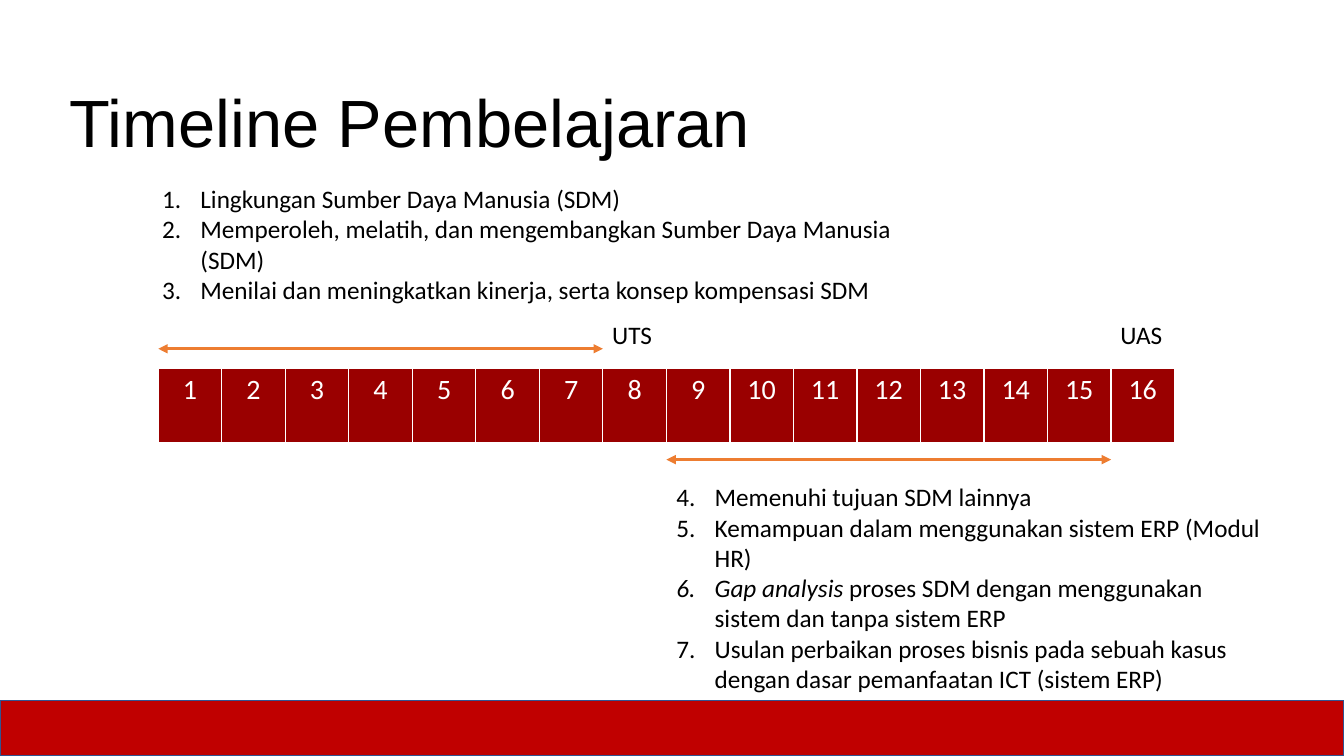
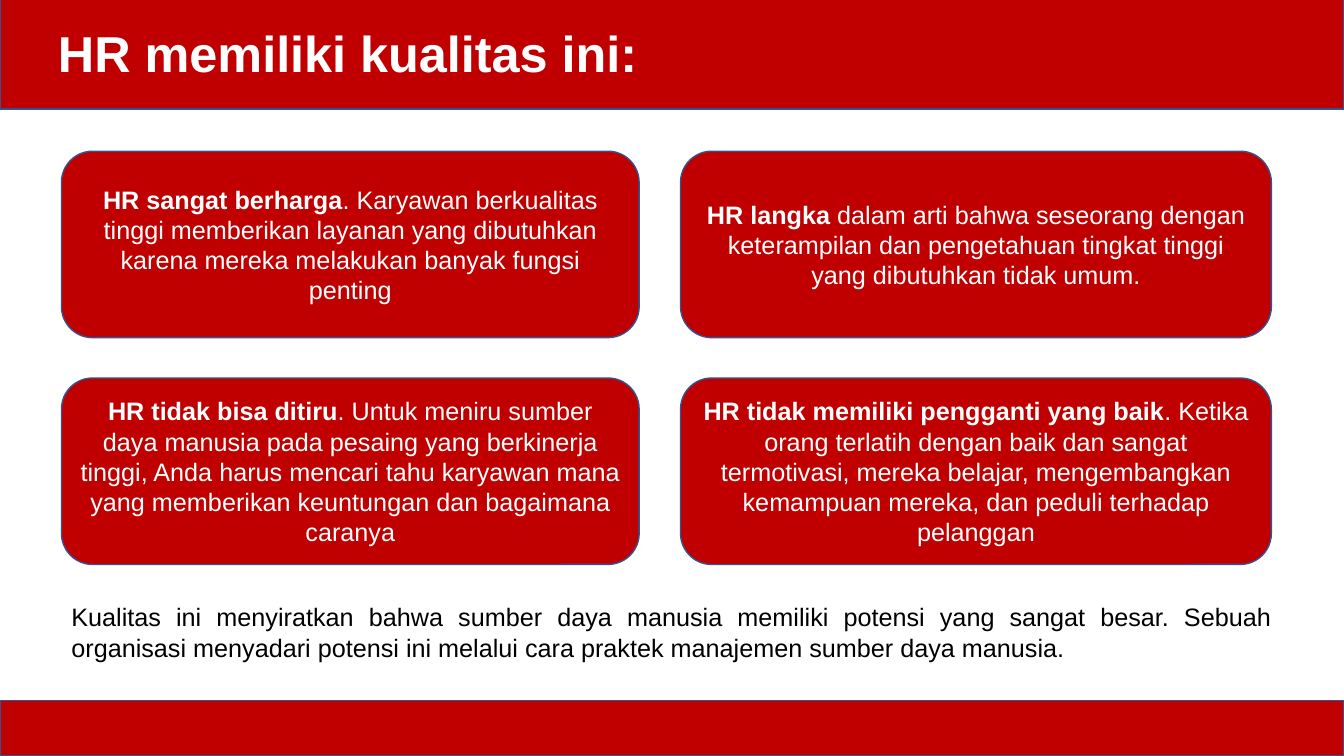
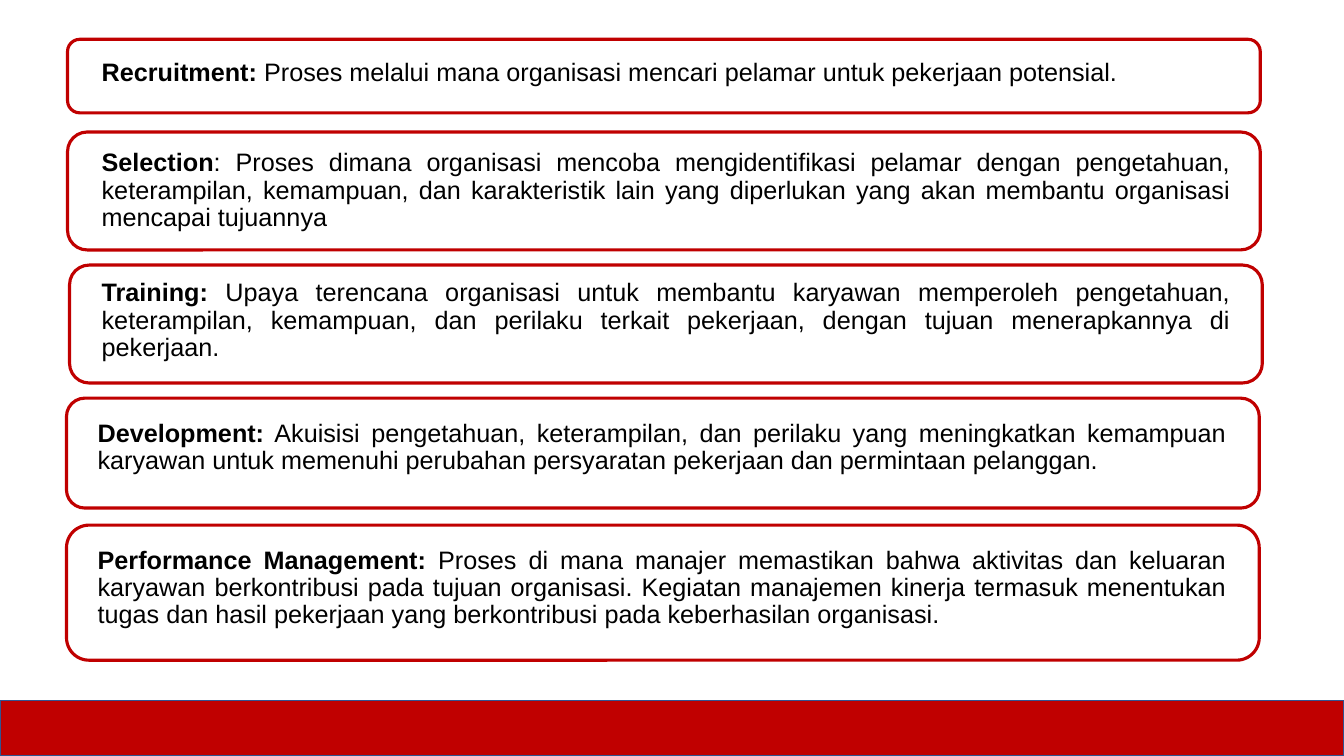
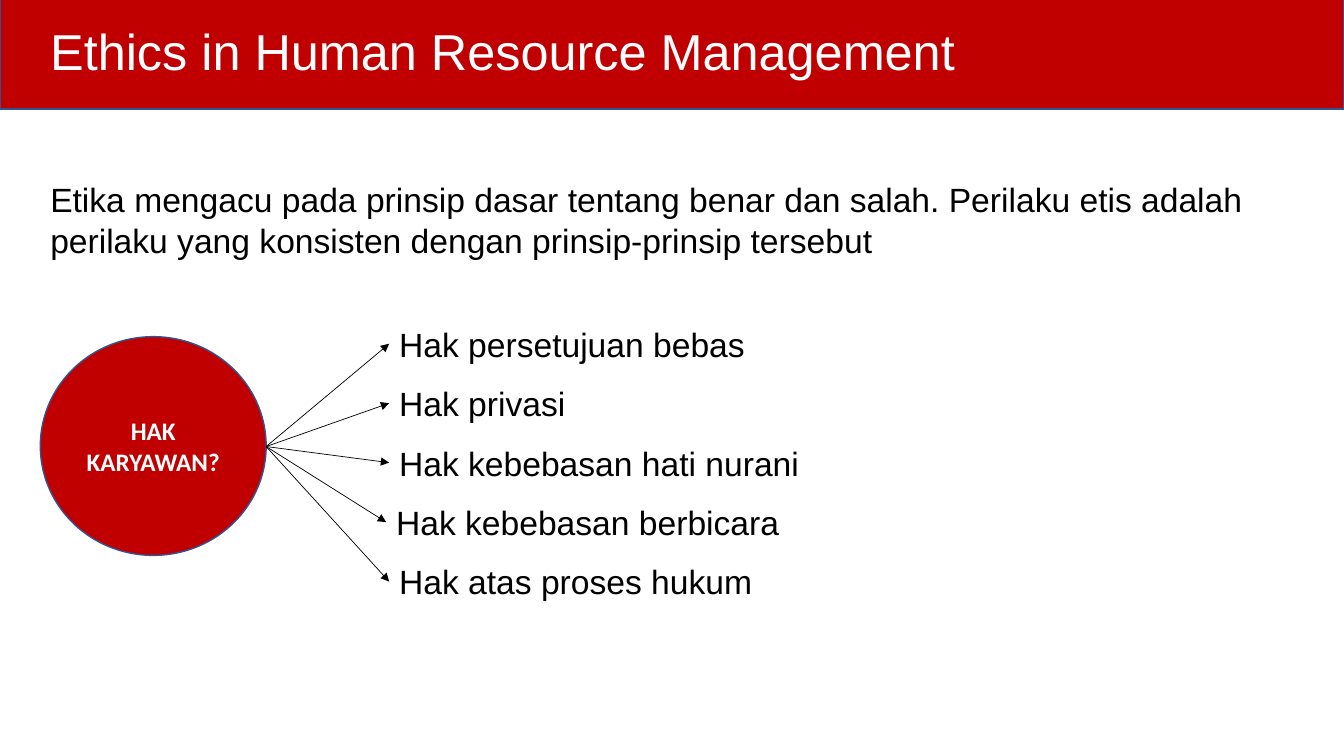
from dataclasses import dataclass

from lxml import etree
from pptx import Presentation
from pptx.dml.color import RGBColor
from pptx.enum import shapes, text
from pptx.oxml import ns
from pptx.util import Inches, Pt

# Shared look
RED, DARK_RED, BLUE, ORANGE = "C00000", "9A0000", "325491", "ED7D31"
WHITE, BLACK = "FFFFFF", "000000"
PAGE_WIDTH, PAGE_HEIGHT = 13.33, 7.5
LEFT, CENTER, JUSTIFY = text.PP_ALIGN.LEFT, text.PP_ALIGN.CENTER, text.PP_ALIGN.JUSTIFY
TOP, MIDDLE, BOTTOM = text.MSO_ANCHOR.TOP, text.MSO_ANCHOR.MIDDLE, text.MSO_ANCHOR.BOTTOM
RECTANGLE = shapes.MSO_SHAPE.RECTANGLE
ROUNDED = shapes.MSO_SHAPE.ROUNDED_RECTANGLE
OVAL = shapes.MSO_SHAPE.OVAL


@dataclass(frozen=True)
class Area:
    left: float
    top: float
    width: float
    height: float

    def lengths(self) -> list:
        return [Inches(n) for n in (self.left, self.top, self.width, self.height)]


@dataclass(frozen=True)
class Style:
    size: float = 18
    font: str = "Arial"
    color: str = BLACK
    align: text.PP_ALIGN = LEFT
    anchor: text.MSO_ANCHOR = TOP
    bold: bool = False
    spacing: float = 1.0


@dataclass(frozen=True)
class Span:
    words: str
    bold: bool = False
    italic: bool = False


@dataclass(frozen=True)
class Practice:
    outline: Area
    words: Area
    name: str
    meaning: str


@dataclass(frozen=True)
class Right:
    name: str
    left: float = 3.86


def rgb(color: str) -> RGBColor:
    return RGBColor.from_string(color)


def add_xml(parent, tag: str, **attributes: str):
    return etree.SubElement(parent, ns.qn(tag), attributes)


# Text
def write(frame, paragraphs: list, style: Style) -> None:
    """Each paragraph is a string or a list of spans."""
    frame.word_wrap = True
    frame.vertical_anchor = style.anchor
    for index, content in enumerate(paragraphs):
        para = frame.paragraphs[0] if index == 0 else frame.add_paragraph()
        para.alignment = style.align
        para.line_spacing = style.spacing
        spans = [Span(content, style.bold)] if isinstance(content, str) else content
        for span in spans:
            run = para.add_run()
            run.text = span.words
            font = run.font
            font.name, font.size = style.font, Pt(style.size)
            font.bold, font.italic = span.bold, span.italic
            font.color.rgb = rgb(style.color)


def add_text(page, area: Area, paragraphs: list, style: Style):
    box = page.shapes.add_textbox(*area.lengths())
    write(box.text_frame, paragraphs, style)
    return box


def add_numbered(page, area: Area, items: list, start: int) -> None:
    box = add_text(page, area, items, Style(font="Calibri"))
    indent = Inches(0.38)
    for para in box.text_frame.paragraphs:
        properties = para._p.get_or_add_pPr()
        properties.set("marL", str(indent))
        properties.set("indent", str(-indent))
        add_xml(properties, "a:buFont", typeface="+mj-lt")
        add_xml(properties, "a:buAutoNum", type="arabicPeriod", startAt=str(start))


def add_title(page, area: Area, words: str, size: float = 36, color: str = WHITE,
              align: text.PP_ALIGN = LEFT, bold: bool = False) -> None:
    add_text(page, area, [words], Style(size, "Arial", color, align, BOTTOM, bold, 0.9))


# Shapes and lines
def add_panel(page, kind: shapes.MSO_SHAPE, area: Area, fill: str | None = RED,
              line: str = BLUE, weight: float = 1):
    panel = page.shapes.add_shape(kind, *area.lengths())
    panel.shadow.inherit = False
    if fill:
        panel.fill.solid()
        panel.fill.fore_color.rgb = rgb(fill)
    else:
        panel.fill.background()
    panel.line.color.rgb = rgb(line)
    panel.line.width = Pt(weight)
    return panel


def add_header(page) -> None:
    add_panel(page, RECTANGLE, Area(0, -0.03, PAGE_WIDTH, 1.11))


def add_footer(page) -> None:
    add_panel(page, RECTANGLE, Area(0, 6.95, PAGE_WIDTH, 0.55))


def add_arrow(page, start: tuple[float, float], end: tuple[float, float],
              color: str, weight: float, both_ends: bool = False) -> None:
    arrow = page.shapes.add_connector(
        shapes.MSO_CONNECTOR.STRAIGHT, *[Inches(n) for n in start + end])
    arrow.line.color.rgb = rgb(color)
    arrow.line.width = Pt(weight)
    line = arrow.line._get_or_add_ln()
    if both_ends:
        add_xml(line, "a:headEnd", type="triangle")
    add_xml(line, "a:tailEnd", type="triangle")
    add_xml(arrow._element.spPr, "a:effectLst")


# Slide 1: timeline
def add_weeks(page, area: Area, count: int) -> None:
    table = page.shapes.add_table(1, count, *area.lengths()).table
    table.first_row = table.horz_banding = False
    style = Style(20, "Calibri", WHITE, CENTER)
    for week, cell in enumerate(table.iter_cells(), start=1):
        table.columns[week - 1].width = Inches(area.width / count)
        properties = cell._tc.get_or_add_tcPr()
        for side, weight in (("L", 1), ("R", 1), ("T", 1), ("B", 3)):
            border = add_xml(properties, f"a:ln{side}", w=str(Pt(weight)))
            add_xml(add_xml(border, "a:solidFill"), "a:srgbClr", val=WHITE)
        cell.fill.solid()
        cell.fill.fore_color.rgb = rgb(DARK_RED)
        write(cell.text_frame, [str(week)], style)


def build_timeline(page) -> None:
    add_footer(page)
    add_title(page, Area(0.59, 0.94, 10.92, 0.72), "Timeline Pembelajaran", 47.7, BLACK)
    left, week_width = 1.57, 0.63
    add_weeks(page, Area(left, 3.65, 16 * week_width, 0.75), 16)
    add_numbered(page, Area(1.51, 1.77, 8.07, 1.31), [
        "Lingkungan Sumber Daya Manusia (SDM)",
        "Memperoleh, melatih, dan mengembangkan Sumber Daya Manusia (SDM)",
        "Menilai dan meningkatkan kinerja, serta konsep kompensasi SDM",
    ], 1)
    add_numbered(page, Area(6.61, 4.73, 6, 2.22), [
        "Memenuhi tujuan SDM lainnya",
        "Kemampuan dalam menggunakan sistem ERP (Modul HR)",
        [Span("Gap analysis", italic=True),
         Span(" proses SDM dengan menggunakan sistem dan tanpa sistem ERP")],
        "Usulan perbaikan proses bisnis pada sebuah kasus dengan dasar "
        "pemanfaatan ICT (sistem ERP)",
    ], 4)
    for first_week, top in ((1, 3.46), (9, 4.56)):
        start = left + (first_week - 1) * week_width
        add_arrow(page, (start, top), (start + 7 * week_width, top), ORANGE, 2.25, True)
    for exam, exam_left in (("UTS", 5.6), ("UAS", 10.65)):
        add_text(page, Area(exam_left, 3.12, 1.34, 0.4), [exam],
                 Style(font="Calibri", align=CENTER))


# Slide 2: four qualities
QUALITIES = [
    ("HR sangat berharga",
     ". Karyawan berkualitas tinggi memberikan layanan yang dibutuhkan karena mereka "
     "melakukan banyak fungsi penting"),
    ("HR langka ",
     "dalam arti bahwa seseorang dengan keterampilan dan pengetahuan tingkat tinggi "
     "yang dibutuhkan tidak umum."),
    ("HR tidak bisa ditiru",
     ". Untuk meniru sumber daya manusia pada pesaing yang berkinerja tinggi, Anda harus "
     "mencari tahu karyawan mana yang memberikan keuntungan dan bagaimana caranya"),
    ("HR tidak memiliki pengganti yang baik",
     ". Ketika orang terlatih dengan baik dan sangat termotivasi, mereka belajar, "
     "mengembangkan kemampuan mereka, dan peduli terhadap pelanggan"),
]


def build_qualities(page) -> None:
    add_header(page)
    add_footer(page)
    add_title(page, Area(0.23, 0.16, 6.44, 0.72), "HR memiliki kualitas ini:",
              align=CENTER, bold=True)
    columns = ((0.61, 5.73), (6.75, 5.86))
    style = Style(color=WHITE, align=CENTER, anchor=MIDDLE)
    for index, (name, reason) in enumerate(QUALITIES):
        row, column = divmod(index, 2)
        left, width = columns[column]
        card = add_panel(page, ROUNDED, Area(left, 1.5 + row * 2.25, width, 1.85))
        write(card.text_frame, [[Span(name, bold=True), Span(reason)]], style)
    add_text(page, Area(0.61, 5.92, 12.1, 0.71), [
        "Kualitas ini menyiratkan bahwa sumber daya manusia memiliki potensi yang sangat "
        "besar. Sebuah organisasi menyadari potensi ini melalui cara praktek manajemen "
        "sumber daya manusia."], Style(align=JUSTIFY))


# Slide 3: practices
PRACTICES = [
    Practice(Area(0.67, 0.39, 11.83, 0.73), Area(0.91, 0.54, 11.32, 1.06), "Recruitment:",
             " Proses melalui mana organisasi mencari pelamar untuk pekerjaan potensial."),
    Practice(Area(0.67, 1.31, 11.83, 1.17), Area(0.91, 1.44, 11.39, 1.34), "Selection",
             ": Proses dimana organisasi mencoba mengidentifikasi pelamar dengan "
             "pengetahuan, keterampilan, kemampuan, dan karakteristik lain yang diperlukan "
             "yang akan membantu organisasi mencapai tujuannya"),
    Practice(Area(0.69, 2.63, 11.83, 1.17), Area(0.91, 2.73, 11.39, 1.34), "Training:",
             " Upaya terencana organisasi untuk membantu karyawan memperoleh pengetahuan, "
             "keterampilan, kemampuan, dan perilaku terkait pekerjaan, dengan tujuan "
             "menerapkannya di pekerjaan."),
    Practice(Area(0.66, 3.95, 11.83, 1.09), Area(0.87, 4.12, 11.39, 1.34), "Development:",
             " Akuisisi pengetahuan, keterampilan, dan perilaku yang meningkatkan "
             "kemampuan karyawan untuk memenuhi perubahan persyaratan pekerjaan dan "
             "permintaan pelanggan."),
    Practice(Area(0.66, 5.21, 11.83, 1.34), Area(0.87, 5.38, 11.39, 1.34),
             "Performance Management:",
             " Proses di mana manajer memastikan bahwa aktivitas dan keluaran karyawan "
             "berkontribusi pada tujuan organisasi. Kegiatan manajemen kinerja termasuk "
             "menentukan tugas dan hasil pekerjaan yang berkontribusi pada keberhasilan "
             "organisasi."),
]


def build_practices(page) -> None:
    add_footer(page)
    style = Style(align=JUSTIFY, spacing=0.9)
    for practice in PRACTICES:
        add_panel(page, ROUNDED, practice.outline, None, RED, 2.25)
        add_text(page, practice.words,
                 [[Span(practice.name, bold=True), Span(practice.meaning)]], style)


# Slide 4: ethics
RIGHTS = [
    Right("Hak persetujuan bebas"),
    Right("Hak privasi"),
    Right("Hak kebebasan hati nurani"),
    Right("Hak kebebasan berbicara", 3.83),
    Right("Hak atas proses hukum"),
]


def build_ethics(page) -> None:
    add_header(page)
    add_title(page, Area(0.4, 0.14, 11.74, 0.72), "Ethics in Human Resource Management")
    add_text(page, Area(0.4, 1.73, 12.02, 0.91), [
        "Etika mengacu pada prinsip dasar tentang benar dan salah. Perilaku etis adalah "
        "perilaku yang konsisten dengan prinsip-prinsip tersebut"],
        Style(24, align=JUSTIFY))
    circle = add_panel(page, OVAL, Area(0.4, 3.34, 2.24, 2.17))
    write(circle.text_frame, ["HAK KARYAWAN?"],
          Style(18, "Calibri", WHITE, CENTER, MIDDLE, True))
    for index, right in enumerate(RIGHTS):
        top, height = 3.16 + index * 0.59, 0.5
        add_text(page, Area(right.left, top, 5.81, height), [right.name], Style(24))
        add_arrow(page, (2.64, 4.43), (right.left, top + height / 2), BLACK, 0.5)


def main() -> None:
    deck = Presentation()
    deck.slide_width, deck.slide_height = Inches(PAGE_WIDTH), Inches(PAGE_HEIGHT)
    for build in (build_timeline, build_qualities, build_practices, build_ethics):
        build(deck.slides.add_slide(deck.slide_layouts[6]))
    deck.save("out.pptx")


if __name__ == "__main__":
    main()
